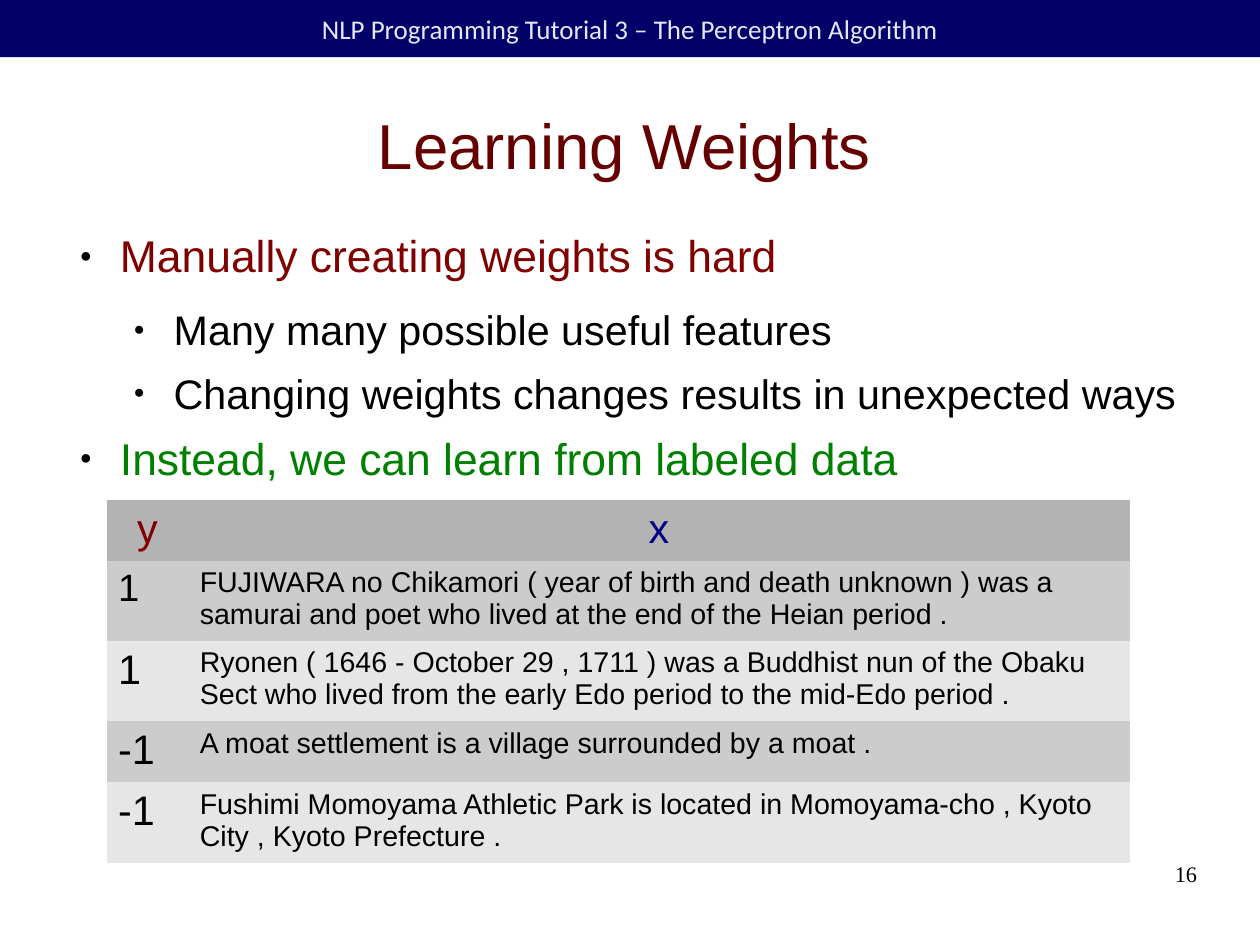
from lxml.etree import SubElement
from pptx import Presentation
from pptx.dml.color import RGBColor
from pptx.enum.shapes import MSO_SHAPE
from pptx.enum.text import MSO_ANCHOR as Anchor, PP_ALIGN as Align
from pptx.oxml.ns import qn
from pptx.util import Cm, Inches, Pt

COLORS = {
    "navy": "000066", "lavender": "E6E6FF", "maroon": "660000",
    "red": "800000", "blue": "000080", "green": "008000", "black": "000000",
    "header": "B3B3B3", "dark": "CCCCCC", "light": "E6E6E6",
}
WIDTH = Cm(28)
HEIGHT = Cm(21)
NO_TABLE_STYLE = "{2D5ABB26-0587-4C30-8999-92F81FD0307C}"

BULLETS = [
    (0, "Manually creating weights is hard", "red"),
    (1, "Many many possible useful features", "black"),
    (1, "Changing weights changes results in unexpected ways", "black"),
    (0, "Instead, we can learn from labeled data", "green"),
]
LEVELS = [(28, 14.2), (26, 8.7)]  # font size and space after, in points

EXAMPLES = [
    ("1", 24, "FUJIWARA no Chikamori ( year of birth and death unknown ) was a "
     "samurai and poet who lived at the end of the Heian period ."),
    ("1", 26, "Ryonen ( 1646 - October 29 , 1711 ) was a Buddhist nun of the Obaku "
     "Sect who lived from the early Edo period to the mid-Edo period ."),
    ("-1", 26, "A moat settlement is a village surrounded by a moat ."),
    ("-1", 26, "Fushimi Momoyama Athletic Park is located in Momoyama-cho , Kyoto "
     "City , Kyoto Prefecture ."),
]
ROW_SHARES = [3, 4, 4, 3, 4]
COLUMN_SHARES = [0.08, 0.92]


def region(left, top, width, height):
    """Turn percentages of the slide into a box in EMU."""
    sizes = (WIDTH, HEIGHT, WIDTH, HEIGHT)
    return [int(size * share / 100)
            for size, share in zip(sizes, (left, top, width, height))]


def rgb(name):
    return RGBColor.from_string(COLORS[name])


def fill_with(target, color):
    target.fill.solid()
    target.fill.fore_color.rgb = rgb(color)


def write(paragraph, text, size, color, align=Align.LEFT, font="Arial"):
    paragraph.text = text
    paragraph.alignment = align
    for run in paragraph.runs:
        run.font.size = Pt(size)
        run.font.name = font
        run.font.bold = False
        run.font.color.rgb = rgb(color)


def add_frame(slide, box, anchor=Anchor.TOP):
    """Add a wrapping text box without margins and return its text frame."""
    frame = slide.shapes.add_textbox(*box).text_frame
    frame.word_wrap = True
    frame.vertical_anchor = anchor
    frame.margin_left = frame.margin_right = 0
    frame.margin_top = frame.margin_bottom = 0
    return frame


def add_banner(slide, box):
    banner = slide.shapes.add_shape(MSO_SHAPE.RECTANGLE, *box)
    banner.shadow.inherit = False
    fill_with(banner, "navy")
    banner.line.fill.background()
    banner.text_frame.vertical_anchor = Anchor.MIDDLE
    write(banner.text_frame.paragraphs[0],
          "NLP Programming Tutorial 3 – The Perceptron Algorithm",
          17, "lavender", Align.CENTER, "Calibri")


def add_title(slide, box):
    frame = add_frame(slide, box, Anchor.MIDDLE)
    write(frame.paragraphs[0], "Learning Weights", 40, "maroon", Align.CENTER)


def add_bullet_mark(paragraph, level):
    properties = paragraph._p.get_or_add_pPr()
    properties.set("marL", str(Inches(0.47 * (level + 1))))
    properties.set("indent", str(Inches(-0.35)))
    bullet_color = SubElement(properties, qn("a:buClr"))
    SubElement(bullet_color, qn("a:srgbClr"), val=COLORS["black"])
    SubElement(properties, qn("a:buSzPct"), val="45000")
    SubElement(properties, qn("a:buFont"), typeface="Arial")
    SubElement(properties, qn("a:buChar"), char="●")


def add_bullets(slide, box):
    frame = add_frame(slide, box)
    for index, (level, text, color) in enumerate(BULLETS):
        paragraph = frame.add_paragraph() if index else frame.paragraphs[0]
        size, space_after = LEVELS[level]
        write(paragraph, text, size, color)
        paragraph.level = level
        paragraph.space_after = Pt(space_after)
        add_bullet_mark(paragraph, level)


def add_examples(slide, box):
    table = slide.shapes.add_table(len(ROW_SHARES), len(COLUMN_SHARES), *box).table
    table.first_row = table.horz_banding = False
    table._tbl.tblPr.find(qn("a:tableStyleId")).text = NO_TABLE_STYLE
    for column, share in zip(table.columns, COLUMN_SHARES):
        column.width = int(box[2] * share)
    for row, share in zip(table.rows, ROW_SHARES):
        row.height = int(box[3] * share / sum(ROW_SHARES))

    rows = [[("y", 26, "red", Align.CENTER), ("x", 26, "blue", Align.CENTER)]]
    for label, size, sentence in EXAMPLES:
        rows.append([(label, size, "black"), (sentence, 18, "black")])
    fills = ["header"] + ["dark", "light"] * 2
    for row, contents, fill in zip(table.rows, rows, fills):
        for cell, content in zip(row.cells, contents):
            fill_with(cell, fill)
            write(cell.text_frame.paragraphs[0], *content)


def add_page_number(slide, box):
    write(add_frame(slide, box).paragraphs[0], "16", 14, "black",
          Align.RIGHT, "Times New Roman")


def main():
    presentation = Presentation()
    presentation.slide_width = WIDTH
    presentation.slide_height = HEIGHT
    slide = presentation.slides.add_slide(presentation.slide_layouts[6])
    add_banner(slide, region(0, 0, 100, 6.05))
    add_title(slide, region(4.54, 7.55, 90, 15.36))
    add_examples(slide, region(8.46, 52.92, 81.2, 38.2))
    add_bullets(slide, region(5.26, 24.18, 90, 25.5))
    add_page_number(slide, region(71.69, 91.05, 23.32, 6.89))
    presentation.save("out.pptx")


if __name__ == "__main__":
    main()
